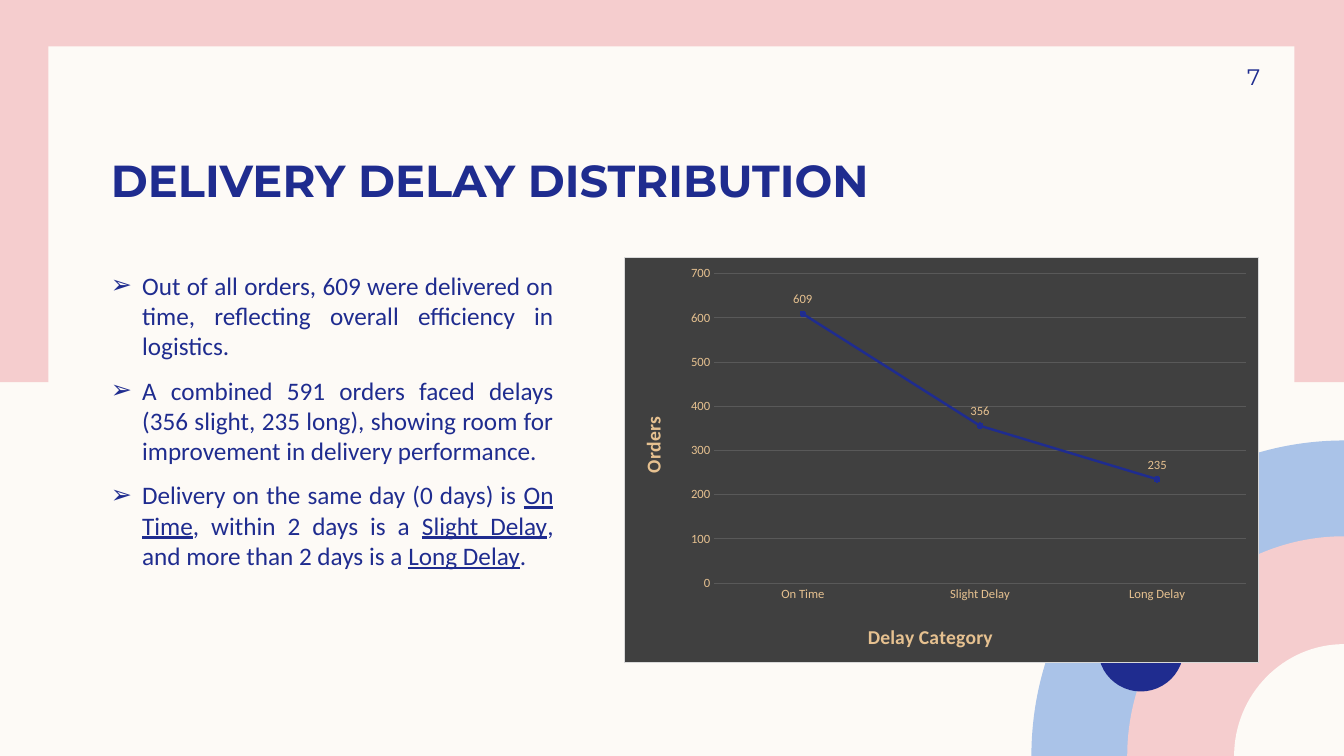
from pptx import Presentation as Deck
from pptx.chart.data import CategoryChartData as Data
from pptx.dml.color import RGBColor as RGB
from pptx.enum.chart import XL_CHART_TYPE as Kind
from pptx.enum.chart import XL_LABEL_POSITION as Spot
from pptx.enum.chart import XL_MARKER_STYLE as Mark
from pptx.enum.chart import XL_TICK_MARK as Tick
from pptx.enum.shapes import MSO_SHAPE as Form
from pptx.enum.text import MSO_ANCHOR as Anchor
from pptx.enum.text import MSO_AUTO_SIZE as Fit
from pptx.enum.text import PP_ALIGN as Align
from pptx.oxml import parse_xml as xml
from pptx.oxml.ns import nsdecls as spaces
from pptx.oxml.ns import qn
from pptx.util import Pt

SCALE = 9144
WIDE, HIGH = 1333, 750
BEND = 0.55
NAVY, PINK, BLUE, CREAM = "1F2C8F", "F5CDCE", "AAC3E8", "FDFAF6"
SAND, DARK, GREY, PALE = "E6C190", "404040", "595959", "D9D9D9"

POINTS = [
    "Out of all orders, 609 were delivered on time, reflecting overall efficiency in logistics.",
    "A combined 591 orders faced delays (356 slight, 235 long), showing room for "
    "improvement in delivery performance.",
    "Delivery on the same day (0 days) is _On Time_, within 2 days is a _Slight Delay_, "
    "and more than 2 days is a _Long Delay_.",
]
DELAYS = {"On Time": 609, "Slight Delay": 356, "Long Delay": 235}


def px(n):
    return round(n * SCALE)


def ink(code):
    return RGB.from_string(code)


def put(thing, **form):
    for key, value in form.items():
        setattr(thing, key, value)


def paint(fill, code):
    fill.solid()
    fill.fore_color.rgb = ink(code)


class Page:
    face = "Calibri"
    head = "Montserrat"

    def __init__(self, deck):
        self.slide = deck.slides.add_slide(deck.slide_layouts[1])
        self.shapes = self.slide.shapes
        paint(self.slide.background.fill, CREAM)

    def font(self, font, size, code, name=None, **form):
        put(font, size=Pt(size), name=name or self.face, **form)
        font.color.rgb = ink(code)

    def flat(self, shape, code):
        paint(shape.fill, code)
        shape.line.fill.background()
        shape.shadow.inherit = False

    def block(self, form, box, code):
        self.flat(self.shapes.add_shape(form, *map(px, box)), code)

    def fan(self, left, top, code):
        pen = self.shapes.build_freeform(WIDE, HIGH, scale=float(SCALE))
        pen.add_line_segments([(left, HIGH), (WIDE, top)], close=True)
        shape = pen.convert_to_shape()
        wide, high = WIDE - left, HIGH - top
        spots = ((0, high * (1 - BEND)), (wide * (1 - BEND), 0), (wide, 0))
        dots = "".join(f'<a:pt x="{round(x)}" y="{round(y)}"/>' for x, y in spots)
        edge = list(shape.element.iter(qn("a:lnTo")))[1]
        edge.getparent().replace(
            edge, xml(f'<a:cubicBezTo {spaces("a")}>{dots}</a:cubicBezTo>'))
        self.flat(shape, code)

    def frame(self, shape, box, pads, anchor):
        put(shape, **dict(zip(("left", "top", "width", "height"), map(px, box))))
        sides = ("margin_left", "margin_top", "margin_right", "margin_bottom")
        put(shape.text_frame, word_wrap=True, auto_size=Fit.NONE, vertical_anchor=anchor,
            **dict(zip(sides, map(px, pads))))
        return shape.text_frame

    def lift(self, shape):
        node = shape.element
        node.getparent().append(node)

    def title(self, text, box):
        shape = self.shapes.title
        self.lift(shape)
        para = self.frame(shape, box, (10, 0, 10, 0), Anchor.BOTTOM).paragraphs[0]
        para.alignment = Align.LEFT
        run = para.add_run()
        run.text = text
        self.font(run.font, 32, NAVY, self.head, bold=True)

    def list(self, items, box):
        shape = self.slide.placeholders[1]
        self.lift(shape)
        body = self.frame(shape, box, (10, 0, 10, 0), Anchor.TOP)
        for n, item in enumerate(items):
            para = body.add_paragraph() if n else body.paragraphs[0]
            put(para, alignment=Align.JUSTIFY, space_before=Pt(10))
            node = para._p.get_or_add_pPr()
            node.set("marL", str(px(31)))
            node.set("indent", str(px(-31)))
            node.append(xml(f'<a:buChar {spaces("a")} char="➢"/>'))
            for k, part in enumerate(item.split("_")):
                run = para.add_run()
                run.text = part
                self.font(run.font, 18, NAVY, underline=k % 2 == 1)

    def note(self, text, box):
        shape = self.shapes.add_textbox(*map(px, box))
        para = self.frame(shape, box, (10, 5, 0, 5), Anchor.MIDDLE).paragraphs[0]
        para.alignment = Align.RIGHT
        run = para.add_run()
        run.text = text
        self.font(run.font, 16, NAVY, self.head)

    def place(self, node, rank, box, spot):
        for old in node.findall(qn("c:layout")):
            node.remove(old)
        inner = '<c:layoutTarget val="inner"/>' if len(spot) == 4 else ""
        modes = "".join(f'<c:{k}Mode val="edge"/>' for k in "xy")
        sizes = "".join(f'<c:{k} val="{n / whole:.4f}"/>'
                        for k, n, whole in zip("xywh", spot, box[2:] * 2))
        node.insert(rank, xml(f'<c:layout {spaces("c")}><c:manualLayout>{inner}{modes}{sizes}'
                              '</c:manualLayout></c:layout>'))

    def axis(self, axis, text, turn, box, spot):
        put(axis, major_tick_mark=Tick.NONE, minor_tick_mark=Tick.NONE)
        self.font(axis.tick_labels.font, 9, SAND)
        axis.format.line.fill.background()
        title = axis.axis_title
        run = title.text_frame.paragraphs[0].add_run()
        run.text = text
        self.font(run.font, 14, SAND, bold=True)
        for node in title.element.iter(qn("a:bodyPr")):
            node.set("rot", str(turn * 60000))
        self.place(title.element, 1, box, spot)

    def chart(self, values, box):
        data = Data()
        data.categories = list(values)
        data.add_series("Series 1", list(values.values()))
        chart = self.shapes.add_chart(Kind.LINE_MARKERS, *map(px, box), data).chart
        put(chart, has_title=False, has_legend=False)
        self.font(chart.font, 10, "000000")
        fill = '<a:solidFill><a:srgbClr val="{}"/></a:solidFill>'
        chart.element.find(qn("c:chart")).addnext(xml(
            f'<c:spPr {spaces("c", "a")}>{fill.format(DARK)}'
            f'<a:ln w="{Pt(0.75)}">{fill.format(PALE)}</a:ln></c:spPr>'))
        self.place(next(chart.element.iter(qn("c:plotArea"))), 0, box, (89, 16, 528, 308))
        self.axis(chart.category_axis, "Delay Category", 0, box, (238, 360))
        scale = chart.value_axis
        self.axis(scale, "Orders", -90, box, (11, 155))
        put(scale, minimum_scale=0, maximum_scale=700, major_unit=100, has_major_gridlines=True)
        grid = scale.major_gridlines.format.line
        grid.width = Pt(0.75)
        grid.color.rgb = ink(GREY)
        plot = chart.plots[0]
        plot.vary_by_categories = False
        self.series(plot.series[0])

    def series(self, line):
        line.smooth = False
        line.format.line.width = Pt(1.75)
        line.format.line.color.rgb = ink(NAVY)
        put(line.marker, style=Mark.CIRCLE, size=4)
        paint(line.marker.format.fill, NAVY)
        line.marker.format.line.color.rgb = ink(NAVY)
        put(line.data_labels, show_value=True, position=Spot.ABOVE)
        self.font(line.data_labels.font, 9, SAND)


def main():
    deck = Deck()
    put(deck, slide_width=px(WIDE), slide_height=px(HIGH))
    page = Page(deck)
    page.block(Form.RECTANGLE, (0, 0, WIDE, 379), PINK)
    page.block(Form.RECTANGLE, (48, 46, 1236, 659), CREAM)
    for left, top, code in ((1023, 437, BLUE), (1118, 532, PINK), (1224, 639, CREAM)):
        page.fan(left, top, code)
    page.block(Form.OVAL, (1089, 601, 85, 85), NAVY)
    page.title("DELIVERY DELAY DISTRIBUTION", (100, 106, 1128, 99))
    page.chart(DELAYS, (619, 255, 630, 403))
    page.list(POINTS, (100, 268, 459, 390))
    page.note("7", (1133, 50, 117, 52))
    deck.save("out.pptx")


if __name__ == "__main__":
    main()
